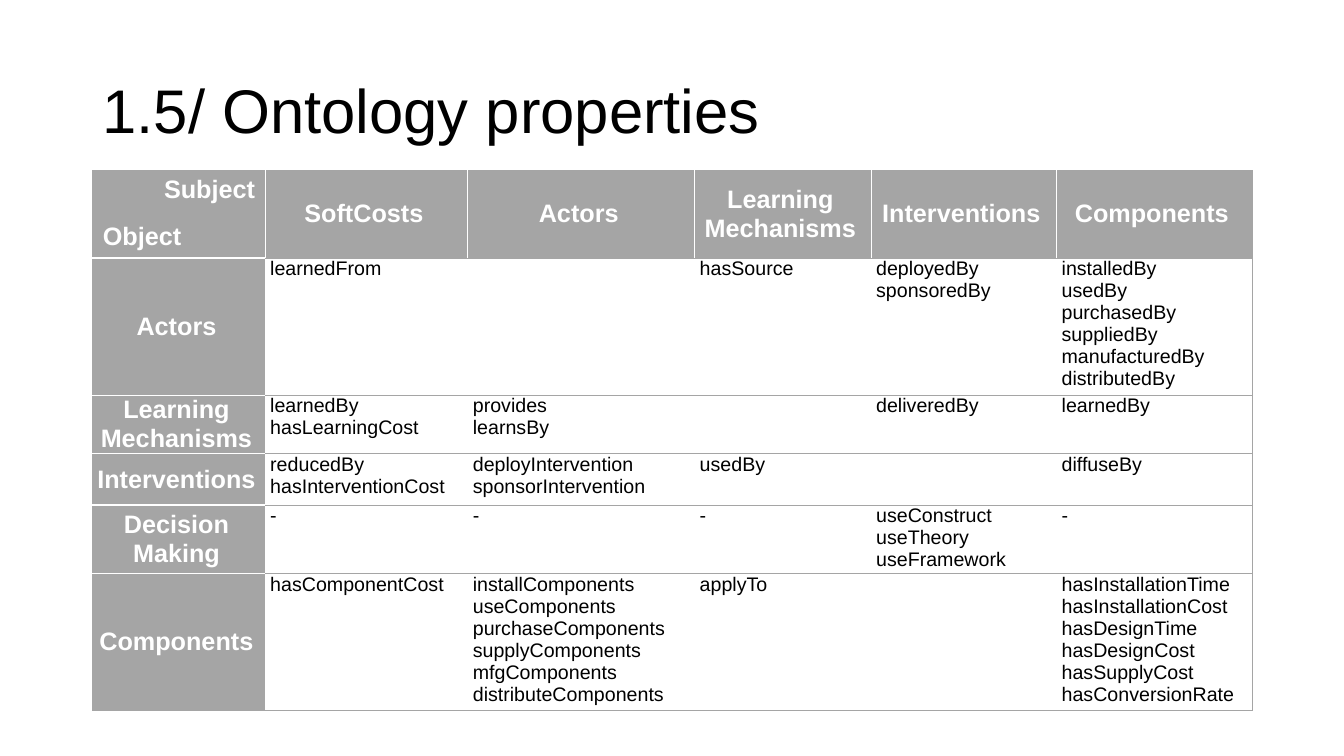
from lxml import etree
from pptx import Presentation
from pptx import util as u
from pptx.dml.color import RGBColor
from pptx.enum import text
from pptx.oxml.ns import qn

COLORS = {"grey": "A5A5A5", "white": "FFFFFF", "black": "000000"}
LEFT, CENTER, RIGHT = text.PP_ALIGN.LEFT, text.PP_ALIGN.CENTER, text.PP_ALIGN.RIGHT


def write(frame, content, size=14, color="black", bold=False, align=LEFT, indent=0, spacing=1.0):
    """Write each line of content as a paragraph."""
    frame.word_wrap = True
    for index, line in enumerate(content.split("\n")):
        para = frame.paragraphs[0] if index == 0 else frame.add_paragraph()
        para.alignment = align
        para.line_spacing = spacing
        if indent:
            para._p.get_or_add_pPr().set("marL", str(u.Inches(indent)))
        span = para.add_run()
        span.text = line
        span.font.name = "Arial"
        span.font.size = u.Pt(size)
        span.font.bold = bold
        span.font.color.rgb = RGBColor.from_string(COLORS[color])


def set_border(cell, side, color):
    """Draw one cell edge: white 1 pt, grey 0.5 pt, or none."""
    line = etree.SubElement(cell._tc.get_or_add_tcPr(), qn(f"a:ln{side}"))
    if color is None:
        line.set("w", "0")
        etree.SubElement(line, qn("a:noFill"))
        return
    line.set("w", str(u.Pt(1 if color == "white" else 0.5)))
    fill = etree.SubElement(line, qn("a:solidFill"))
    etree.SubElement(fill, qn("a:srgbClr")).set("val", COLORS[color])


deck = Presentation()
deck.slide_width, deck.slide_height = u.Inches(13.33), u.Inches(7.5)
page = deck.slides.add_slide(deck.slide_layouts[6])

# Table content: header row first, row heading in the first column
ROWS = [
    ["Subject\nObject", "SoftCosts", "Actors", "Learning Mechanisms", "Interventions", "Components"],
    ["Actors", "learnedFrom", "", "hasSource", "deployedBy\nsponsoredBy",
     "installedBy\nusedBy\npurchasedBy\nsuppliedBy\nmanufacturedBy\ndistributedBy"],
    ["Learning\nMechanisms", "learnedBy\nhasLearningCost", "provides\nlearnsBy", "",
     "deliveredBy", "learnedBy"],
    ["Interventions", "reducedBy\nhasInterventionCost", "deployIntervention\nsponsorIntervention",
     "usedBy", "", "diffuseBy"],
    ["Decision\nMaking", "-", "-", "-", "useConstruct\nuseTheory\nuseFramework", "-"],
    ["Components", "hasComponentCost",
     "installComponents\nuseComponents purchaseComponents\nsupplyComponents\n"
     "mfgComponents\ndistributeComponents", "applyTo", "",
     "hasInstallationTime\nhasInstallationCost\nhasDesignTime\n"
     "hasDesignCost\nhasSupplyCost\nhasConversionRate"],
]
COLUMN_WIDTHS = [1.71, 2.01, 2.25, 1.75, 1.84, 1.94]
ROW_HEIGHTS = [0.87, 1.36, 0.58, 0.51, 0.68, 1.36]
LAST_ROW, LAST_COLUMN = len(ROWS) - 1, len(COLUMN_WIDTHS) - 1

# Table grid
table = page.shapes.add_table(len(ROWS), len(COLUMN_WIDTHS), u.Inches(0.92), u.Inches(1.69),
                              u.Inches(11.5), u.Inches(5.36)).table
table.first_row = table.horz_banding = False
for column, width in zip(table.columns, COLUMN_WIDTHS):
    column.width = u.Inches(width)
for row, height in zip(table.rows, ROW_HEIGHTS):
    row.height = u.Inches(height)

# Cells
for r, values in enumerate(ROWS):
    for c, value in enumerate(values):
        cell = table.cell(r, c)
        heading = r == 0 or c == 0
        inner = "white" if r == 0 else None
        set_border(cell, "L", "grey" if c == 0 else inner)
        set_border(cell, "R", "grey" if c == LAST_COLUMN else inner)
        set_border(cell, "T", "white" if c == 0 and r > 0 else "grey")
        set_border(cell, "B", "white" if c == 0 and r < LAST_ROW else "grey")
        if heading:
            cell.fill.solid()
            cell.fill.fore_color.rgb = RGBColor.from_string(COLORS["grey"])
        else:
            cell.fill.background()
        if r or c:
            cell.margin_left = cell.margin_top = cell.margin_bottom = 0
            cell.margin_right = u.Inches(0.05)
        if heading:
            cell.vertical_anchor = text.MSO_ANCHOR.MIDDLE
            write(cell.text_frame, value, size=18, color="white", bold=True, align=CENTER)
        elif value:
            write(cell.text_frame, value, indent=0.05)

# Corner cell: subject at top right, object at bottom left
corner = table.cell(0, 0)
corner.vertical_anchor = text.MSO_ANCHOR.TOP
subject, target = corner.text_frame.paragraphs
subject.alignment, target.alignment = RIGHT, LEFT
target.space_before = u.Pt(13.8)

# Title
title = page.shapes.add_textbox(u.Inches(0.92), u.Inches(0.4), u.Inches(11.5), u.Inches(1.45))
title.text_frame.vertical_anchor = text.MSO_ANCHOR.MIDDLE
write(title.text_frame, "1.5/ Ontology properties", size=44, spacing=0.9)

deck.save("out.pptx")
